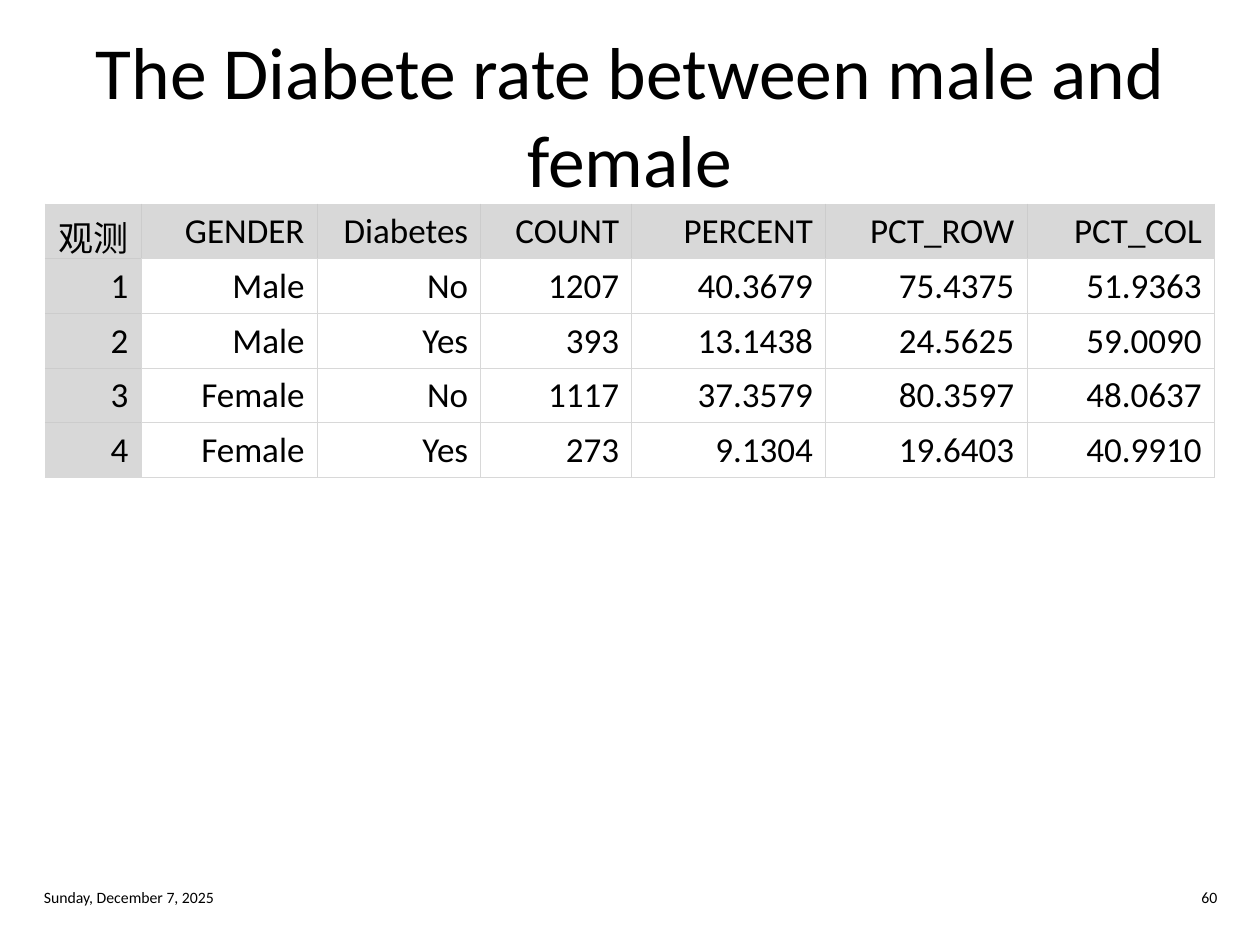
from lxml.etree import SubElement
from pptx import Presentation
from pptx.dml.color import RGBColor
from pptx.enum.text import MSO_ANCHOR, PP_ALIGN
from pptx.oxml.ns import qn
from pptx.util import Inches, Pt

WIDTH, HEIGHT = Inches(10), Inches(7.5)
FONT = "Calibri"
COLORS = {"text": "000000", "head": "D8D8D8", "edge": "D8D8D8", "inner": "CCCCCC"}

COLS = [0.76, 1.4, 1.3, 1.2, 1.54, 1.6, 1.49]
ROWS = [
    ["观测", "GENDER", "Diabetes", "COUNT", "PERCENT", "PCT_ROW", "PCT_COL"],
    ["1", "Male", "No", "1207", "40.3679", "75.4375", "51.9363"],
    ["2", "Male", "Yes", "393", "13.1438", "24.5625", "59.0090"],
    ["3", "Female", "No", "1117", "37.3579", "80.3597", "48.0637"],
    ["4", "Female", "Yes", "273", "9.1304", "19.6403", "40.9910"],
]


def share(left, top, width, height):
    """Turn shares of the slide into a box of lengths."""
    return (int(left * WIDTH), int(top * HEIGHT),
            int(width * WIDTH), int(height * HEIGHT))


def style(par, size, align):
    par.alignment = align
    par.font.name = FONT
    par.font.size = Pt(size)
    par.font.color.rgb = RGBColor.from_string(COLORS["text"])


def add_text(slide, box, text, size, align):
    frame = slide.shapes.add_textbox(*box).text_frame
    frame.word_wrap = True
    frame.vertical_anchor = MSO_ANCHOR.MIDDLE
    frame.text = text
    style(frame.paragraphs[0], size, align)


def add_edge(cell, side, color):
    line = SubElement(cell._tc.get_or_add_tcPr(), qn(f"a:ln{side}"), w=str(Pt(0.5)))
    fill = SubElement(line, qn("a:solidFill"))
    SubElement(fill, qn("a:srgbClr"), val=COLORS[color])


def fill_cell(cell, text, head, outer):
    """Outer names the sides that lie on the rim of the table."""
    cell.text = text
    style(cell.text_frame.paragraphs[0], 20, PP_ALIGN.RIGHT)
    for side in "LRTB":
        add_edge(cell, side, "inner" if head and side not in outer else "edge")
    if head:
        cell.fill.solid()
        cell.fill.fore_color.rgb = RGBColor.from_string(COLORS["head"])
    else:
        cell.fill.background()


def add_rates(slide, box):
    width, height = box[2:]
    table = slide.shapes.add_table(len(ROWS), len(COLS), *box).table
    table.first_row = table.horz_banding = False
    for col, part in zip(table.columns, COLS):
        col.width = int(width * part / sum(COLS))
    for row in table.rows:
        row.height = height // len(ROWS)
    for r, texts in enumerate(ROWS):
        for c, text in enumerate(texts):
            rims = {"L": c == 0, "R": c == len(COLS) - 1,
                    "T": r == 0, "B": r == len(ROWS) - 1}
            outer = [side for side, on in rims.items() if on]
            fill_cell(table.cell(r, c), text, r == 0 or c == 0, outer)


def add_footer(slide, box):
    left, top, width, height = box
    part = width // 4
    add_text(slide, (left, top, part, height),
             "Sunday, December 7, 2025", 9, PP_ALIGN.LEFT)
    add_text(slide, (left + width - part, top, part, height), "60", 9, PP_ALIGN.RIGHT)


def main():
    prs = Presentation()
    prs.slide_width, prs.slide_height = WIDTH, HEIGHT
    slide = prs.slides.add_slide(prs.slide_layouts[6])
    add_text(slide, share(0.025, 0.033, 0.95, 0.175),
             "The Diabete rate between male and\vfemale", 42, PP_ALIGN.CENTER)
    add_rates(slide, share(0.036, 0.216, 0.928, 0.28))
    add_footer(slide, share(0.025, 0.932, 0.951, 0.035))
    prs.save("out.pptx")


if __name__ == "__main__":
    main()
